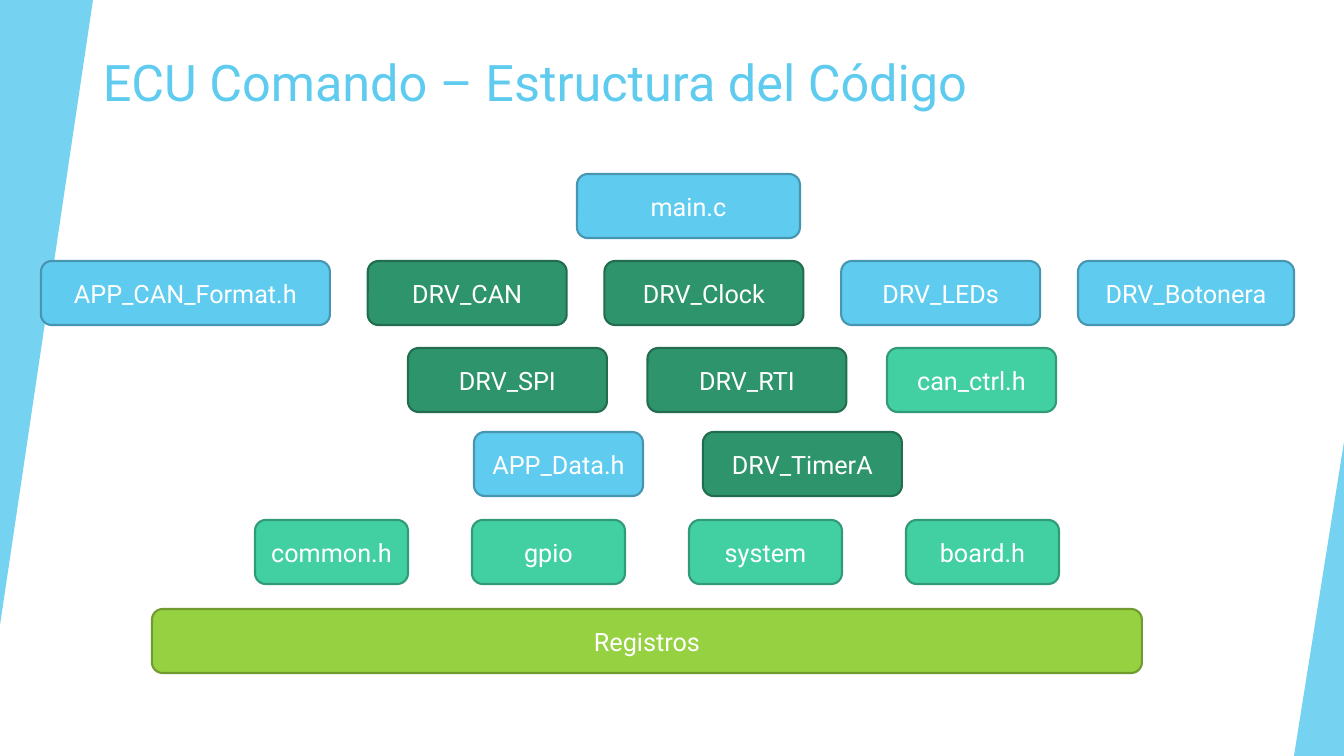
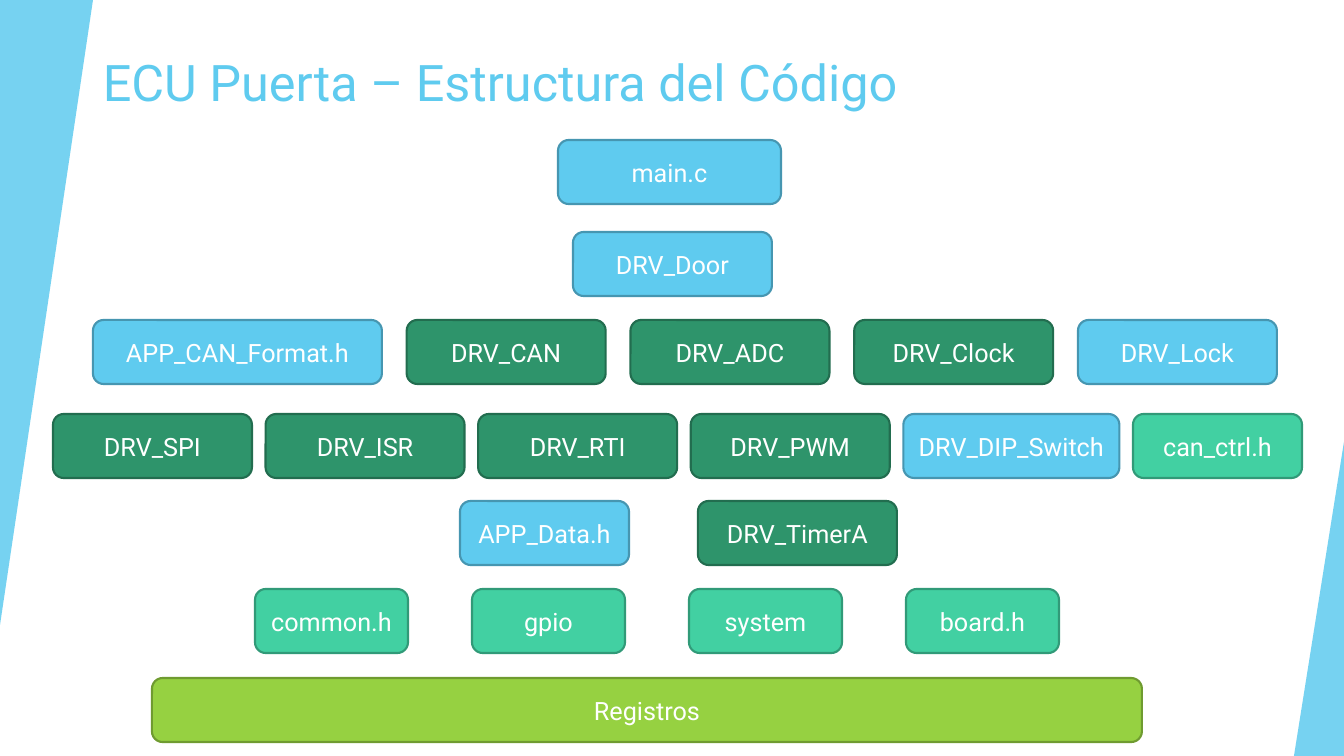
"""Builds two slides that show the code structure of the ECUs as layers of modules."""
from lxml import etree
from pptx import Presentation
from pptx.dml.color import RGBColor
from pptx.enum.shapes import MSO_SHAPE
from pptx.enum.text import MSO_ANCHOR, PP_ALIGN
from pptx.oxml.ns import qn
from pptx.util import Pt

TRIANGLE = MSO_SHAPE.ISOSCELES_TRIANGLE
ROUNDED = MSO_SHAPE.ROUNDED_RECTANGLE
CENTER = PP_ALIGN.CENTER
MIDDLE, TOP = MSO_ANCHOR.MIDDLE, MSO_ANCHOR.TOP

EMU_PER_PX = 914400 / 100.8
SLIDE_WIDTH, SLIDE_HEIGHT = 1344, 756
MODULE_HEIGHT = 64
FONT = "Roboto"
COLORS = {"accent": "5FCBEF", "text": "FFFFFF"}
LAYERS = {
    "app": ("5FCBEF", "4696B1"),
    "driver": ("2E946B", "226D4F"),
    "library": ("42D0A2", "319A78"),
    "hardware": ("96D141", "6F9B30"),
}

TITLE_BOX = (93, 46, 1128, 145)
BANDS = [((0, 0, 93, 625), 180), ((1294, 442, 50, 314), 0)]
BAND_OPACITY = 85

MODULES = {
    "main.c": ("app", 223),
    "APP_CAN_Format.h": ("app", 289),
    "APP_Data.h": ("app", 169),
    "DRV_LEDs": ("app", 199),
    "DRV_Botonera": ("app", 216),
    "DRV_Door": ("app", 199),
    "DRV_Lock": ("app", 199),
    "DRV_DIP_Switch": ("app", 216),
    "DRV_CAN": ("driver", 199),
    "DRV_Clock": ("driver", 199),
    "DRV_SPI": ("driver", 199),
    "DRV_RTI": ("driver", 199),
    "DRV_ADC": ("driver", 199),
    "DRV_ISR": ("driver", 199),
    "DRV_PWM": ("driver", 199),
    "DRV_TimerA": ("driver", 199),
    "can_ctrl.h": ("library", 169),
    "common.h": ("library", 153),
    "gpio": ("library", 153),
    "system": ("library", 153),
    "board.h": ("library", 153),
    "Registros": ("hardware", 990),
}
BASE_MODULES = ["common.h", "gpio", "system", "board.h"]

STRUCTURES = [
    ("ECU Comando – Estructura del Código", [
        (174, 577, 800, ["main.c"]),
        (261, 41, 1294, ["APP_CAN_Format.h", "DRV_CAN", "DRV_Clock", "DRV_LEDs", "DRV_Botonera"]),
        (348, 408, 1056, ["DRV_SPI", "DRV_RTI", "can_ctrl.h"]),
        (432, 474, 902, ["APP_Data.h", "DRV_TimerA"]),
        (520, 255, 1059, BASE_MODULES),
        (609, 152, 1142, ["Registros"]),
    ]),
    ("ECU Puerta – Estructura del Código", [
        (140, 558, 781, ["main.c"]),
        (232, 573, 772, ["DRV_Door"]),
        (320, 93, 1277, ["APP_CAN_Format.h", "DRV_CAN", "DRV_ADC", "DRV_Clock", "DRV_Lock"]),
        (414, 53, 1302, ["DRV_SPI", "DRV_ISR", "DRV_RTI", "DRV_PWM", "DRV_DIP_Switch", "can_ctrl.h"]),
        (501, 460, 897, ["APP_Data.h", "DRV_TimerA"]),
        (589, 255, 1059, BASE_MODULES),
        (678, 152, 1142, ["Registros"]),
    ]),
]


def emu(*lengths):
    return [round(length * EMU_PER_PX) for length in lengths]


def write(shape, text, size, color, anchor, align=None):
    frame = shape.text_frame
    frame.word_wrap = True
    frame.vertical_anchor = anchor
    paragraph = frame.paragraphs[0]
    paragraph.alignment = align
    run = paragraph.add_run()
    run.text = text
    run.font.name = FONT
    run.font.size = Pt(size)
    run.font.color.rgb = RGBColor.from_string(color)


def add_filled(slide, preset, box, color):
    shape = slide.shapes.add_shape(preset, *emu(*box))
    shape.shadow.inherit = False
    shape.fill.solid()
    shape.fill.fore_color.rgb = RGBColor.from_string(color)
    return shape


def add_band(slide, box, rotation):
    band = add_filled(slide, TRIANGLE, box, COLORS["accent"])
    band.adjustments[0] = 1
    band.rotation = rotation
    band.line.fill.background()
    fill_color = band.fill._xPr.find(qn("a:solidFill"))[0]
    etree.SubElement(fill_color, qn("a:alpha")).set("val", str(BAND_OPACITY * 1000))


def add_module(slide, name, left, top):
    layer, width = MODULES[name]
    fill, outline = LAYERS[layer]
    module = add_filled(slide, ROUNDED, (left, top, width, MODULE_HEIGHT), fill)
    module.line.color.rgb = RGBColor.from_string(outline)
    module.line.width = Pt(1.5)
    write(module, name, 18, COLORS["text"], MIDDLE, CENTER)


def add_row(slide, top, left, right, names):
    used = sum(MODULES[name][1] for name in names)
    gap = (right - left - used) / max(len(names) - 1, 1)
    for name in names:
        add_module(slide, name, left, top)
        left += MODULES[name][1] + gap


def add_structure(deck, title, rows):
    slide = deck.slides.add_slide(deck.slide_layouts[6])
    heading = slide.shapes.add_textbox(*emu(*TITLE_BOX))
    write(heading, title, 36, COLORS["accent"], TOP)
    for box, rotation in BANDS:
        add_band(slide, box, rotation)
    for row in rows:
        add_row(slide, *row)


def main():
    deck = Presentation()
    deck.slide_width, deck.slide_height = emu(SLIDE_WIDTH, SLIDE_HEIGHT)
    for title, rows in STRUCTURES:
        add_structure(deck, title, rows)
    deck.save("out.pptx")


if __name__ == "__main__":
    main()
